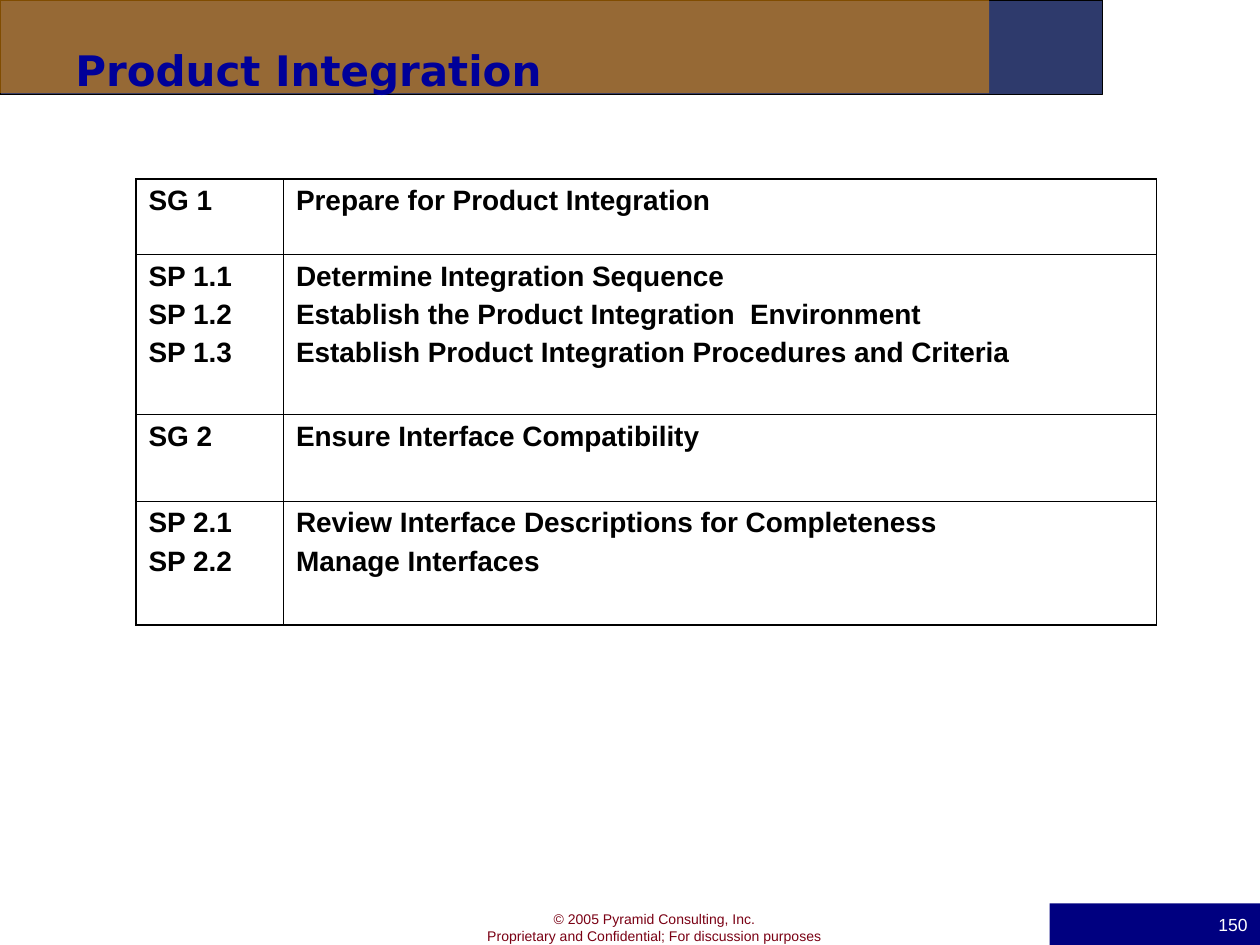
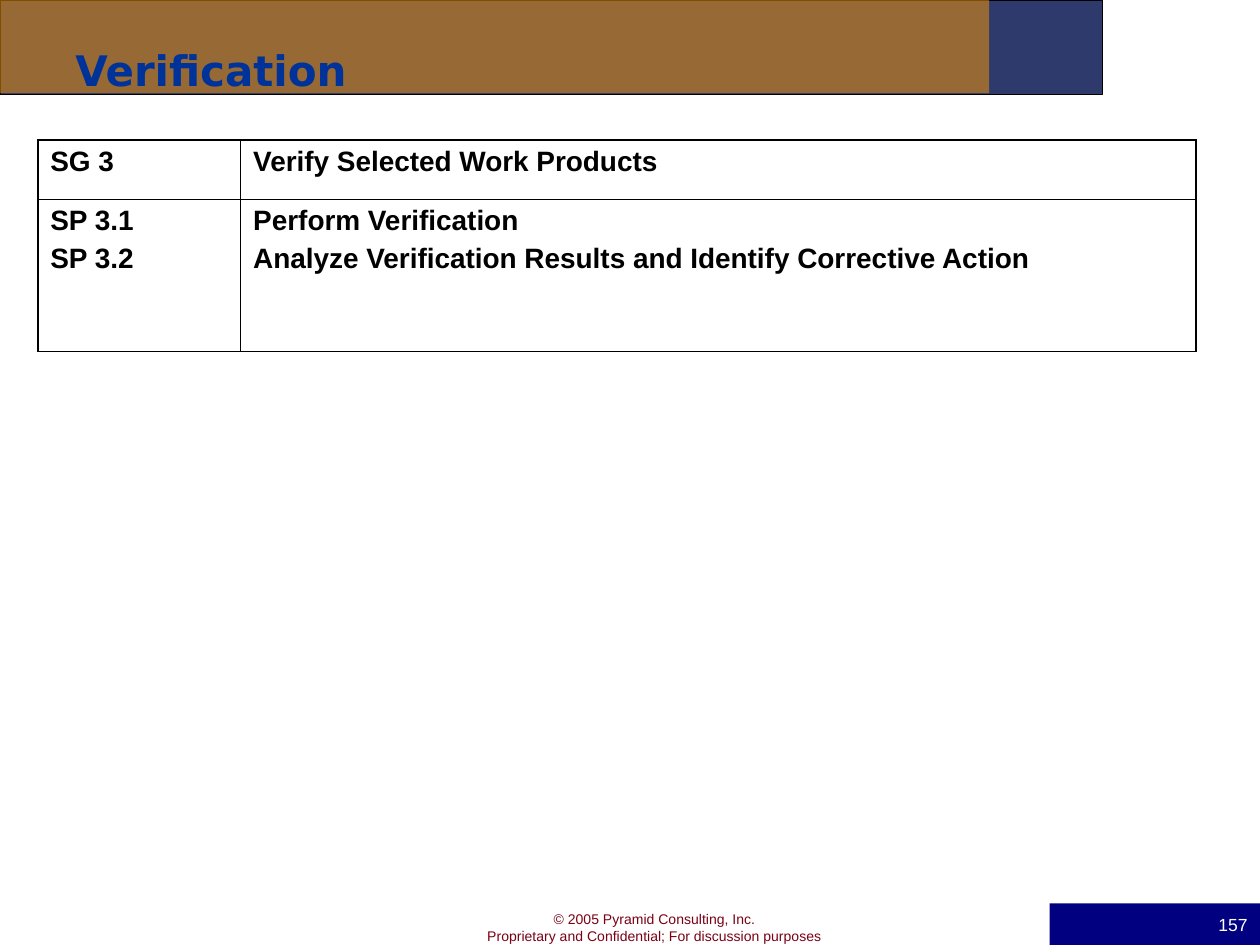
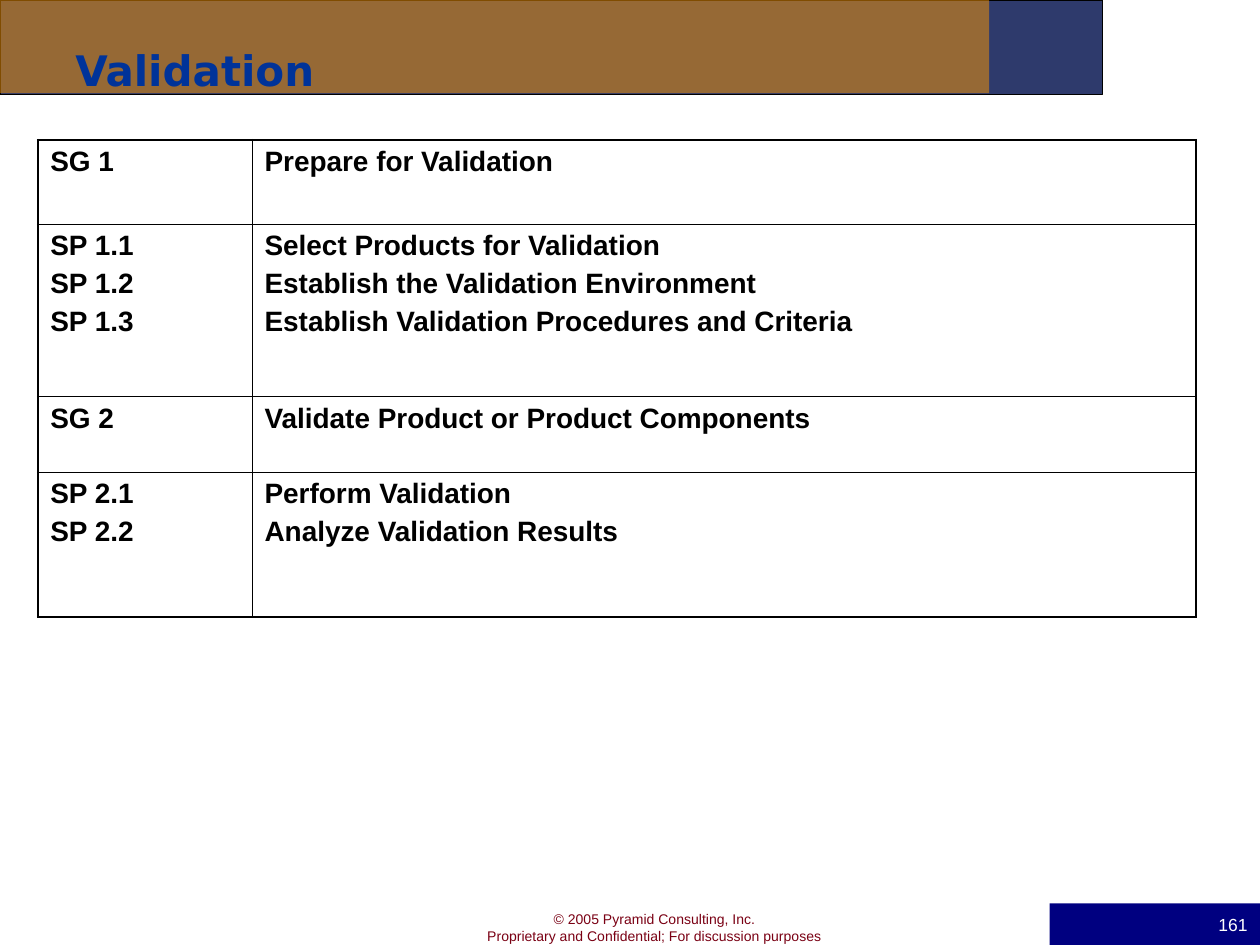
from lxml import etree
from pptx import Presentation
from pptx.dml.color import RGBColor
from pptx.enum.shapes import MSO_SHAPE
from pptx.enum.text import MSO_ANCHOR, PP_ALIGN
from pptx.oxml import parse_xml
from pptx.oxml.ns import nsdecls, qn
from pptx.util import Inches, Pt

RECT = MSO_SHAPE.RECTANGLE
LEFT, MID, RIGHT = PP_ALIGN.LEFT, PP_ALIGN.CENTER, PP_ALIGN.RIGHT
CENTER = MSO_ANCHOR.MIDDLE

COLORS = {
    "band": "2E3A6C", "amber": "FF9900", "navy": "000080", "ink": "000000",
    "wine": "7A0014", "white": "FFFFFF", "royal": "000099", "blue": "003399",
}


def write(frame, text, size=16, color="ink", font="Arial", bold=False, align=LEFT, gap=0):
    frame.word_wrap = True
    for i, line in enumerate(text.split("\n")):
        para = frame.paragraphs[0] if i == 0 else frame.add_paragraph()
        para.alignment = align
        if i:
            para.space_before = Pt(gap)
        run = para.add_run()
        run.text = line
        run.font.size = Pt(size)
        run.font.name = font
        run.font.bold = bold
        run.font.color.rgb = RGBColor.from_string(COLORS[color])


def block(slide, left, top, width, height, color):
    shape = slide.shapes.add_shape(RECT, Inches(left), Inches(top), Inches(width), Inches(height))
    shape.shadow.inherit = False
    shape.fill.solid()
    shape.fill.fore_color.rgb = RGBColor.from_string(COLORS[color])
    shape.line.fill.background()
    return shape


pages = [
    {
        "title": "Product Integration", "color": "royal", "page": "150",
        "spot": (1.08, 1.42), "cols": (1.17, 6.93),
        "rows": [
            (0.6, "SG 1", "Prepare for Product Integration"),
            (1.27, "SP 1.1\nSP 1.2\nSP 1.3",
             "Determine Integration Sequence\n"
             "Establish the Product Integration  Environment\n"
             "Establish Product Integration Procedures and Criteria"),
            (0.69, "SG 2", "Ensure Interface Compatibility"),
            (0.98, "SP 2.1\nSP 2.2",
             "Review Interface Descriptions for Completeness\nManage Interfaces"),
        ],
    },
    {
        "title": "Verification", "color": "blue", "page": "157",
        "spot": (0.3, 1.11), "cols": (1.61, 7.58),
        "rows": [
            (0.47, "SG 3", "Verify Selected Work Products"),
            (1.21, "SP 3.1\nSP 3.2",
             "Perform Verification\n"
             "Analyze Verification Results and Identify Corrective Action"),
        ],
    },
    {
        "title": "Validation", "color": "blue", "page": "161",
        "spot": (0.3, 1.11), "cols": (1.7, 7.49),
        "rows": [
            (0.67, "SG 1", "Prepare for Validation"),
            (1.37, "SP 1.1\nSP 1.2\nSP 1.3",
             "Select Products for Validation\n"
             "Establish the Validation Environment\n"
             "Establish Validation Procedures and Criteria"),
            (0.6, "SG 2", "Validate Product or Product Components"),
            (1.15, "SP 2.1\nSP 2.2", "Perform Validation\nAnalyze Validation Results"),
        ],
    },
]

deck = Presentation()
deck.slide_width, deck.slide_height = Inches(10), Inches(7.5)

for page in pages:
    slide = deck.slides.add_slide(deck.slide_layouts[6])

    band = block(slide, 0, 0, 8.75, 0.75, "band")
    band.line.color.rgb = RGBColor.from_string(COLORS["ink"])
    band.line.width = Pt(0.75)

    note = slide.shapes.add_textbox(Inches(3.72), Inches(7.18), Inches(2.95), Inches(0.37))
    write(note.text_frame,
          "© 2005 Pyramid Consulting, Inc.\nProprietary and Confidential; For discussion purposes",
          size=8, color="wine", align=MID)

    veil = block(slide, 0, 0, 7.85, 0.74, "amber")
    tint = veil.fill._xPr.find(qn("a:solidFill"))[0]
    etree.SubElement(tint, qn("a:alpha"), val="50000")

    rows, cols = page["rows"], page["cols"]
    left, top = page["spot"]
    table = slide.shapes.add_table(
        len(rows), len(cols), Inches(left), Inches(top),
        Inches(sum(cols)), Inches(sum(row[0] for row in rows))).table
    table.first_row = table.horz_banding = False
    for c, width in enumerate(cols):
        table.columns[c].width = Inches(width)
    for r, (height, *texts) in enumerate(rows):
        table.rows[r].height = Inches(height)
        for c, text in enumerate(texts):
            cell = table.cell(r, c)
            write(cell.text_frame, text, bold=True, gap=4)
            cell.fill.background()
            props = cell._tc.get_or_add_tcPr()
            outer = {"L": c == 0, "R": c == len(cols) - 1, "T": r == 0, "B": r == len(rows) - 1}
            for i, (side, edge) in enumerate(outer.items()):
                weight = Pt(1.08 if edge else 0.45)
                props.insert(i, parse_xml(
                    f'<a:ln{side} {nsdecls("a")} w="{weight}"><a:solidFill>'
                    f'<a:srgbClr val="{COLORS["ink"]}"/></a:solidFill></a:ln{side}>'))

    title = slide.shapes.add_textbox(Inches(0.5), Inches(0.3), Inches(9), Inches(1.25))
    write(title.text_frame, page["title"], size=24, color=page["color"],
          font="DejaVu Sans", bold=True)

    tag = block(slide, 8.33, 7.17, 1.67, 0.33, "navy")
    tag.text_frame.vertical_anchor = CENTER
    write(tag.text_frame, page["page"], size=10, color="white", align=RIGHT)

deck.save("out.pptx")
